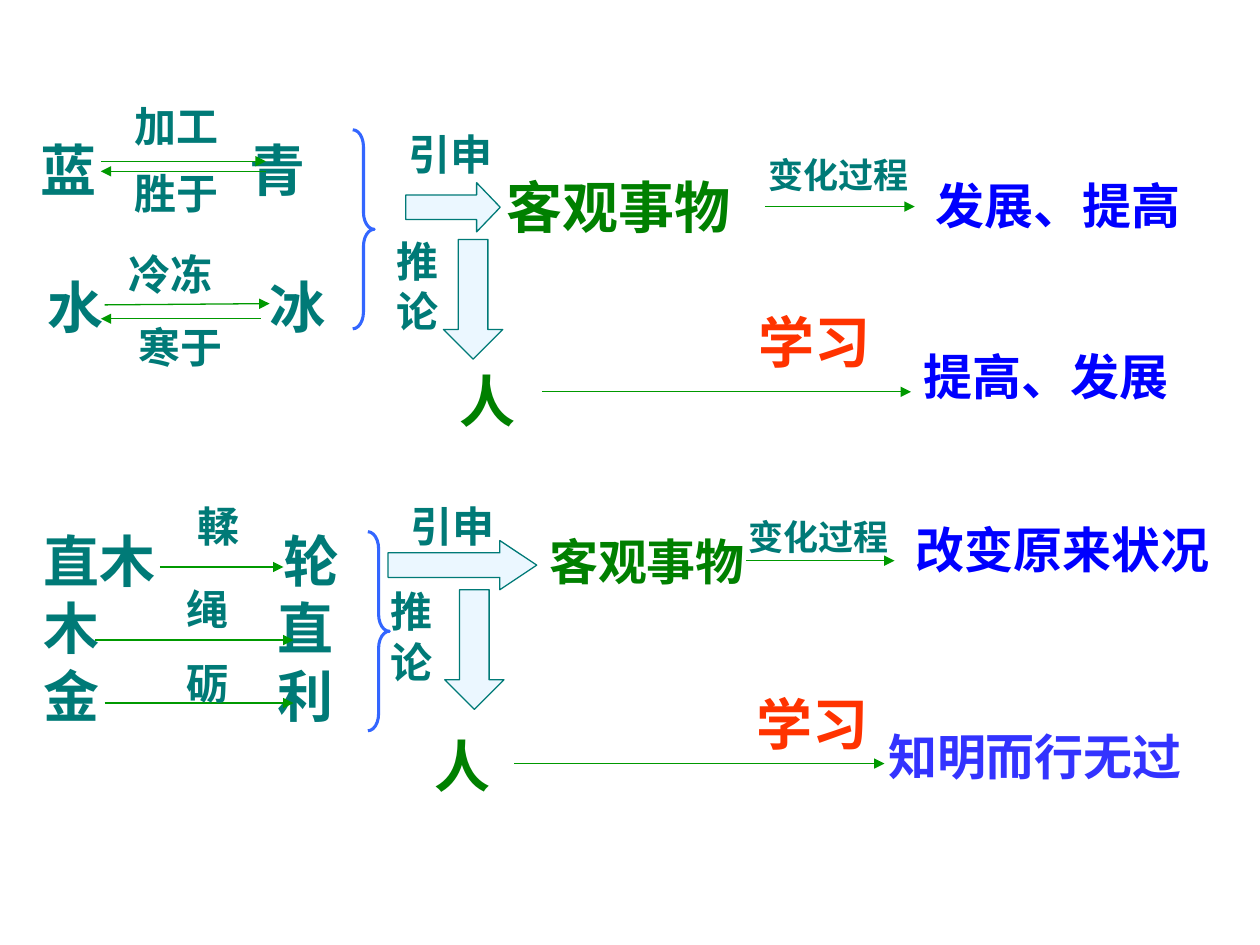
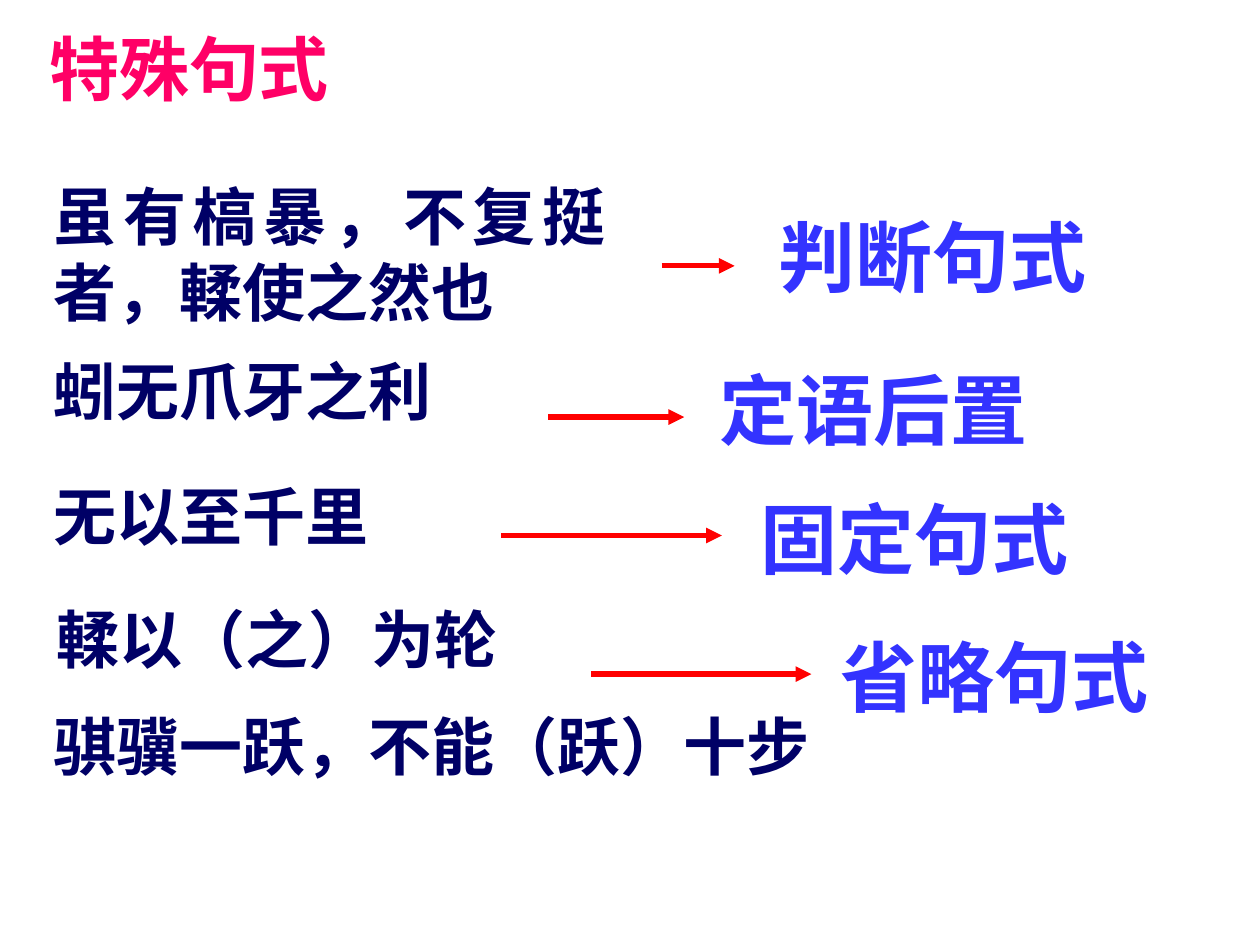
from dataclasses import dataclass
from typing import NamedTuple, Optional

import pptx
import pptx.dml.color
import pptx.enum.shapes
import pptx.enum.text
import pptx.oxml
import pptx.oxml.ns
import pptx.util
from pptx.util import Inches

MSO_SHAPE = pptx.enum.shapes.MSO_SHAPE
PP_ALIGN = pptx.enum.text.PP_ALIGN


@dataclass(frozen=True)
class Theme:
    font: str = "Times New Roman"
    teal: str = "007A77"
    green: str = "008000"
    arrow_green: str = "009900"
    orange: str = "FF3300"
    blue: str = "0000FF"
    violet: str = "3333FF"
    brace_blue: str = "3366FF"
    pale: str = "EBF7FF"
    navy: str = "000066"
    red: str = "FF0000"
    pink: str = "FF0066"
    process: int = 20
    label: int = 24
    outcome: int = 28
    term: int = 32
    sentence: int = 36
    title: int = 40
    pattern: int = 44
    thin: float = 0.75
    brace: float = 1.75
    thick: float = 3


THEME = Theme()


class Label(NamedTuple):
    text: str
    left: float
    top: float
    size: int
    color: str
    width: Optional[float] = None
    align: Optional[PP_ALIGN] = None


class Arrow(NamedTuple):
    x1: float
    y1: float
    x2: float
    y2: float


class Block(NamedTuple):
    kind: MSO_SHAPE
    left: float
    top: float
    width: float
    height: float
    adjustments: tuple[float, ...]


class Pattern(NamedTuple):
    name: str
    left: float
    top: float
    arrow: Arrow


def rgb(color: str) -> pptx.dml.color.RGBColor:
    return pptx.dml.color.RGBColor.from_string(color)


def write_text(shape, label: Label) -> None:
    lines = label.text.split("\n")
    natural = max(map(len, lines)) * label.size / 72 + 0.2
    height = len(lines) * label.size * 1.2 / 72 + 0.1
    shape.left, shape.top = Inches(label.left), Inches(label.top)
    shape.width, shape.height = Inches(label.width or natural), Inches(height)
    frame = shape.text_frame
    frame.word_wrap = label.width is not None
    frame.auto_size = pptx.enum.text.MSO_AUTO_SIZE.NONE
    frame.vertical_anchor = pptx.enum.text.MSO_ANCHOR.TOP
    frame.text = label.text
    for paragraph in frame.paragraphs:
        paragraph.alignment = label.align or PP_ALIGN.LEFT
        paragraph.font.name = THEME.font
        paragraph.font.size = pptx.util.Pt(label.size)
        paragraph.font.bold = True
        paragraph.font.color.rgb = rgb(label.color)


def add_label(slide, label: Label) -> None:
    write_text(slide.shapes.add_textbox(0, 0, 0, 0), label)


def add_arrow(slide, arrow: Arrow, color: str, weight: float) -> None:
    connector = slide.shapes.add_connector(
        pptx.enum.shapes.MSO_CONNECTOR.STRAIGHT, *map(Inches, arrow))
    connector.line.color.rgb = rgb(color)
    connector.line.width = pptx.util.Pt(weight)
    outline = connector.line._get_or_add_ln()
    head = pptx.oxml.parse_xml(
        f'<a:tailEnd {pptx.oxml.ns.nsdecls("a")} type="triangle"/>')
    outline.append(head)
    outline.addnext(pptx.oxml.parse_xml(
        f'<a:effectLst {pptx.oxml.ns.nsdecls("a")}/>'))


def add_block(slide, block: Block, line: str, weight: float,
              fill: Optional[str] = None) -> None:
    shape = slide.shapes.add_shape(block.kind, *map(Inches, block[1:5]))
    shape.shadow.inherit = False
    for index, value in enumerate(block.adjustments):
        shape.adjustments[index] = value
    if fill:
        shape.fill.solid()
        shape.fill.fore_color.rgb = rgb(fill)
    else:
        shape.fill.background()
    shape.line.color.rgb = rgb(line)
    shape.line.width = pptx.util.Pt(weight)


def terms() -> list[Label]:
    pairs = [("蓝", 0.22, "青", 1.88, 1.03), ("水", 0.28, "冰", 2.04, 2.11)]
    changes = [("直木", "轮", 2.15), ("木", "直", 2.1), ("金", "利", 2.1)]
    line_height = THEME.term * 1.2 / 72
    pairs += [(before, 0.25, after, left, 4.13 + row * line_height)
              for row, (before, after, left) in enumerate(changes)]
    return [Label(text, left, top, THEME.term, THEME.teal)
            for before, x1, after, x2, top in pairs
            for text, left in ((before, x1), (after, x2))]


def build_argument(slide) -> None:
    actions = [
        ("加工", 0.97, 0.75), ("胜于", 0.97, 1.28),
        ("冷冻", 0.92, 1.92), ("寒于", 1, 2.5),
        ("輮", 1.47, 3.92), ("绳", 1.38, 4.58), ("砺", 1.38, 5.17),
        ("引申", 3.14, 0.97), ("推\n论", 3.05, 1.82),
        ("引申", 3.16, 3.92), ("推\n论", 3, 4.6),
    ]
    conclusions = [
        Label("客观事物", 3.92, 1.32, THEME.term, THEME.green),
        Label("变化过程", 6, 1.17, THEME.process, THEME.teal),
        Label("发展、提高", 7.33, 1.34, THEME.outcome, THEME.blue),
        Label("人", 3.55, 2.86, THEME.term, THEME.green),
        Label("学习", 5.92, 2.39, THEME.term, THEME.orange),
        Label("提高、发展", 7.23, 2.7, THEME.outcome, THEME.blue),
        Label("客观事物", 4.26, 4.17, THEME.outcome, THEME.green),
        Label("变化过程", 5.84, 4.04, THEME.process, THEME.teal),
        Label("改变原来状况", 7.17, 4.07, THEME.outcome, THEME.blue),
        Label("人", 3.35, 5.76, THEME.term, THEME.green),
        Label("学习", 5.91, 5.42, THEME.term, THEME.orange),
        Label("知明而行无过", 6.95, 5.72, THEME.outcome, THEME.violet),
    ]
    steps = [
        Arrow(0.8, 1.28, 2.11, 1.28), Arrow(2.11, 1.36, 0.8, 1.36),
        Arrow(0.83, 2.42, 2.14, 2.41), Arrow(2.07, 2.53, 0.8, 2.53),
        Arrow(1.27, 4.5, 2.25, 4.5), Arrow(0.75, 5.08, 2.33, 5.08),
        Arrow(0.83, 5.58, 2.33, 5.58),
        Arrow(6.07, 1.64, 7.26, 1.64), Arrow(4.3, 3.11, 7.23, 3.11),
        Arrow(5.92, 4.45, 7.1, 4.45), Arrow(4.08, 6.06, 7.02, 6.06),
    ]
    inferences = [
        Block(MSO_SHAPE.RIGHT_ARROW, 3.22, 1.45, 0.75, 0.39, (0.5, 0.48)),
        Block(MSO_SHAPE.DOWN_ARROW, 3.52, 1.9, 0.47, 0.95, (0.5, 0.5)),
        Block(MSO_SHAPE.RIGHT_ARROW, 3.08, 4.29, 1.18, 0.39, (0.5, 0.75)),
        Block(MSO_SHAPE.DOWN_ARROW, 3.53, 4.68, 0.47, 0.95, (0.5, 0.5)),
    ]
    for term in terms():
        add_label(slide, term)
    for step in steps:
        add_arrow(slide, step, THEME.arrow_green, THEME.thin)
    for inference in inferences:
        add_block(slide, inference, THEME.teal, THEME.thin, THEME.pale)
    for left, top in ((2.8, 1.03), (2.92, 4.22)):
        brace = Block(MSO_SHAPE.RIGHT_BRACE, left, top, 0.17, 1.58, (0.79, 0.5))
        add_block(slide, brace, THEME.brace_blue, THEME.brace)
    for text, left, top in actions:
        add_label(slide, Label(text, left, top, THEME.label, THEME.teal))
    for conclusion in conclusions:
        add_label(slide, conclusion)


def build_patterns(slide) -> None:
    write_text(slide.shapes.title,
               Label("特殊句式", 0.29, 0.15, THEME.title, THEME.pink))
    sentences = [
        ("虽有槁暴，不复挺者，輮使之然也", 0.33, 1.36, 4.58),
        ("蚓无爪牙之利", 0.33, 2.75, 4.08),
        ("无以至千里", 0.33, 3.74, 3.42),
        ("輮以（之）为轮", 0.35, 4.72, 4.17),
        ("骐骥一跃，不能（跃）十步", 0.33, 5.57, 7.56),
    ]
    patterns = [
        Pattern("判断句式", 6.08, 1.61, Arrow(5.25, 2.11, 5.83, 2.11)),
        Pattern("定语后置", 5.61, 2.83, Arrow(4.35, 3.31, 5.43, 3.31)),
        Pattern("固定句式", 5.94, 3.85, Arrow(3.98, 4.25, 5.73, 4.25)),
        Pattern("省略句式", 6.57, 4.95, Arrow(4.69, 5.35, 6.44, 5.35)),
    ]
    for text, left, top, width in sentences:
        add_label(slide, Label(text, left, top, THEME.sentence, THEME.navy,
                               width, PP_ALIGN.JUSTIFY))
    for pattern in patterns:
        add_arrow(slide, pattern.arrow, THEME.red, THEME.thick)
        add_label(slide, Label(pattern.name, pattern.left, pattern.top,
                               THEME.pattern, THEME.violet))


def main() -> None:
    deck = pptx.Presentation()
    deck.slide_width, deck.slide_height = Inches(10), Inches(7.5)
    title_only, blank = deck.slide_layouts[5], deck.slide_layouts[6]
    build_argument(deck.slides.add_slide(blank))
    build_patterns(deck.slides.add_slide(title_only))
    deck.save("out.pptx")


if __name__ == "__main__":
    main()
